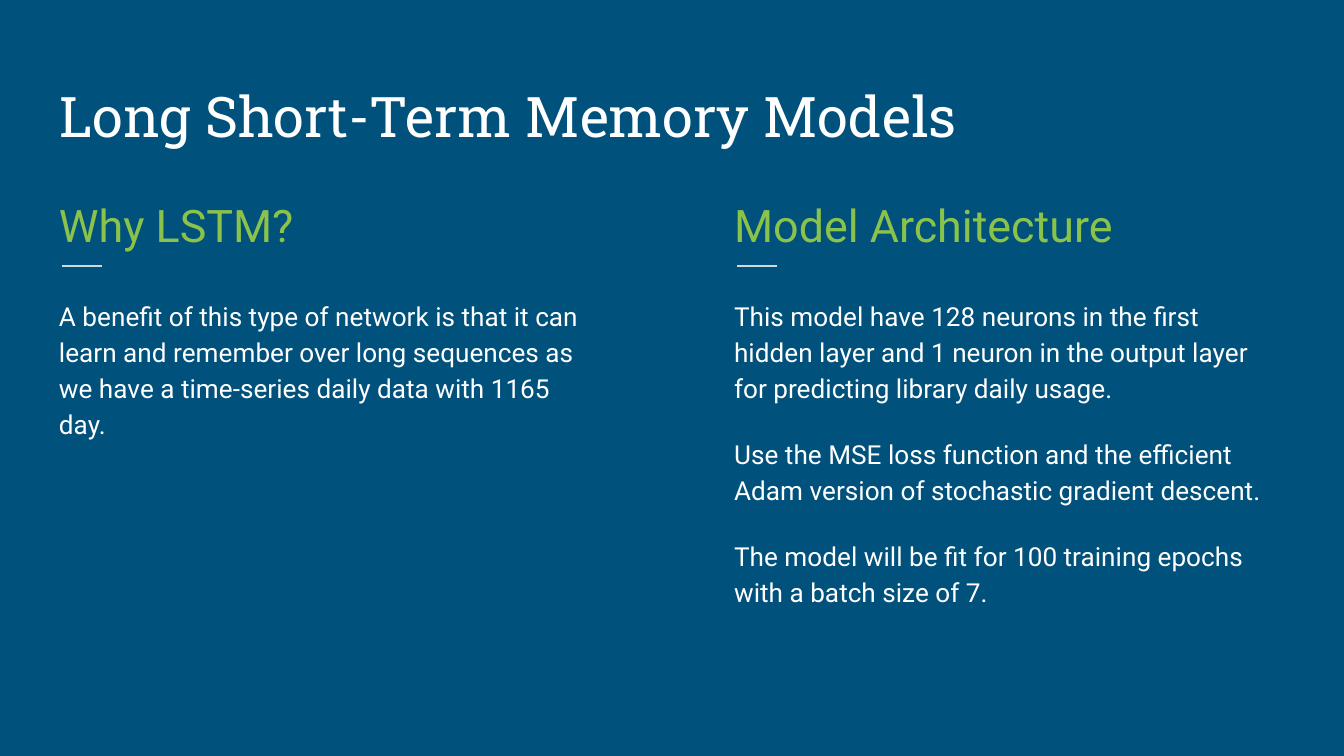
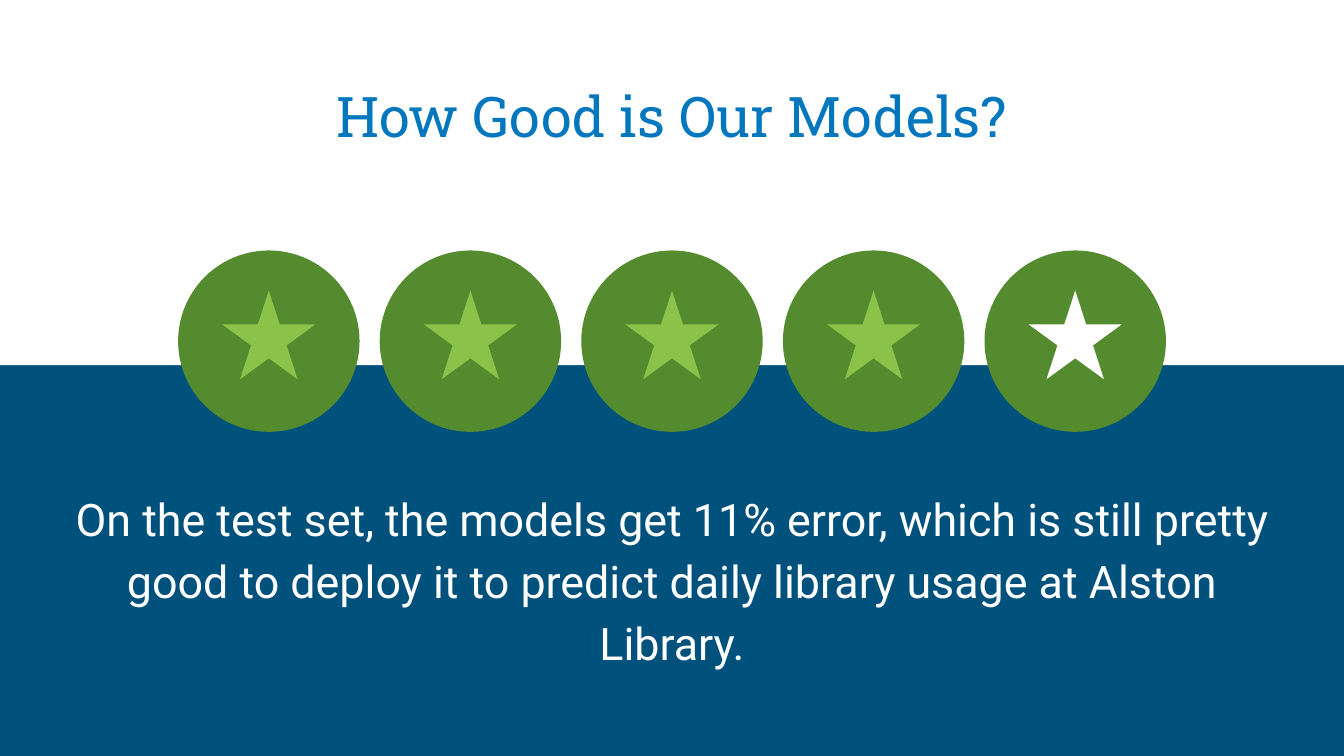
import pptx
import pptx.dml.color
import pptx.enum.shapes
import pptx.enum.text
import pptx.oxml.ns
import pptx.util
from lxml import etree

Pt = pptx.util.Pt
RGBColor = pptx.dml.color.RGBColor
MSO_SHAPE = pptx.enum.shapes.MSO_SHAPE
MSO_ANCHOR = pptx.enum.text.MSO_ANCHOR
PP_ALIGN = pptx.enum.text.PP_ALIGN

NAVY = RGBColor(0x00, 0x51, 0x7C)
BLUE = RGBColor(0x02, 0x77, 0xBD)
LIME = RGBColor(0x8B, 0xC3, 0x4A)
GREEN = RGBColor(0x55, 0x8B, 0x2F)
GREY = RGBColor(0xCF, 0xD8, 0xDC)
WHITE = RGBColor(0xFF, 0xFF, 0xFF)

SLIDE_W, SLIDE_H = 720, 405
MARGIN = 24.5
CONTENT_W = SLIDE_W - 2 * MARGIN
INSET = 7.2


class Deck:
    heading_font = "Roboto Slab"
    body_font = "Roboto"

    def __init__(self):
        self.prs = pptx.Presentation()
        self.prs.slide_width = Pt(SLIDE_W)
        self.prs.slide_height = Pt(SLIDE_H)
        self.s = None

    def slide(self, title, color, align=PP_ALIGN.LEFT):
        self.s = self.prs.slides.add_slide(self.prs.slide_layouts[5])
        self.s.background.fill.solid()
        self.s.background.fill.fore_color.rgb = NAVY
        sp = self.s.shapes.title
        sp.left, sp.top = Pt(MARGIN), Pt(29.5)
        sp.width, sp.height = Pt(CONTENT_W), Pt(57.6)
        self.fill_text(sp.text_frame, [title], 30, color, align, self.heading_font)
        sp.text_frame.vertical_anchor = MSO_ANCHOR.BOTTOM

    def fill_text(self, tf, lines, size, color, align, font):
        tf.word_wrap = True
        tf.auto_size = pptx.enum.text.MSO_AUTO_SIZE.NONE
        tf.margin_left = tf.margin_right = Pt(INSET)
        tf.margin_top = tf.margin_bottom = Pt(INSET)
        for i, line in enumerate(lines):
            p = tf.paragraphs[0] if i == 0 else tf.add_paragraph()
            p.text = line
            p.alignment = align
            p.font.name = font
            p.font.size = Pt(size)
            p.font.color.rgb = color

    def text(self, x, y, w, h, lines, size, color, align=PP_ALIGN.LEFT):
        sp = self.s.shapes.add_textbox(Pt(x), Pt(y), Pt(w), Pt(h))
        tf = sp.text_frame
        self.fill_text(tf, lines, size, color, align, self.body_font)
        for i, p in enumerate(tf.paragraphs):
            p.line_spacing = 1.15
            p.space_before = Pt(16 if i else 0)
        tf.paragraphs[-1].space_after = Pt(16)

    def shape(self, kind, x, y, w, h, fill, group=None):
        shapes = (group or self.s).shapes
        sp = shapes.add_shape(kind, Pt(x), Pt(y), Pt(w), Pt(h))
        sp.shadow.inherit = False
        sp.fill.solid()
        sp.fill.fore_color.rgb = fill
        sp.line.fill.background()
        return sp

    def band(self, h, fill):
        sp = self.shape(MSO_SHAPE.RECTANGLE, 0, 0, SLIDE_W, h, fill)
        self.s.shapes.title.element.addprevious(sp.element)

    def rule(self, x, y, w):
        line = self.s.shapes.add_connector(
            pptx.enum.shapes.MSO_CONNECTOR.STRAIGHT, Pt(x), Pt(y), Pt(x + w), Pt(y))
        line.line.color.rgb = GREY
        line.line.width = Pt(0.75)
        etree.SubElement(line.element.spPr, pptx.oxml.ns.qn("a:effectLst"))

    def column(self, x, heading, lines):
        w = 303
        self.text(x, 94.3, w, 41, [heading], 24, LIME)
        self.rule(x + 8.5, 142.6, 21.5)
        self.text(x, 151.2, w, 216.7, lines, 14, WHITE)

    def badge(self, x, y, star_color):
        d, star_w, star_h = 97.2, 49.8, 47.5
        group = self.s.shapes.add_group_shape()
        self.shape(MSO_SHAPE.OVAL, x, y, d, d, GREEN, group)
        self.shape(MSO_SHAPE.STAR_5_POINT, x + (d - star_w) / 2, y + 21.5,
                   star_w, star_h, star_color, group)


def main():
    deck = Deck()

    deck.slide("Long Short-Term Memory Models", WHITE)
    deck.column(MARGIN, "Why LSTM?", [
        "A benefit of this type of network is that it can learn and remember over "
        "long sequences as we have a time-series daily data with 1165 day.",
    ])
    deck.column(386.2, "Model Architecture", [
        "This model have 128 neurons in the first hidden layer and 1 neuron in the "
        "output layer for predicting library daily usage.",
        "Use the MSE loss function and the efficient Adam version of stochastic "
        "gradient descent.",
        "The model will be fit for 100 training epochs with a batch size of 7.",
    ])

    deck.slide("How Good is Our Models?", BLUE, PP_ALIGN.CENTER)
    deck.band(195.7, WHITE)
    for i, color in enumerate([LIME] * 4 + [WHITE]):
        deck.badge(95.4 + 108 * i, 134.2, color)
    deck.text(MARGIN, 252, CONTENT_W, 126.7, [
        "On the test set, the models get 11% error, which is still pretty good to "
        "deploy it to predict daily library usage at Alston Library.",
    ], 24, WHITE, PP_ALIGN.CENTER)

    deck.prs.save("out.pptx")


if __name__ == "__main__":
    main()
